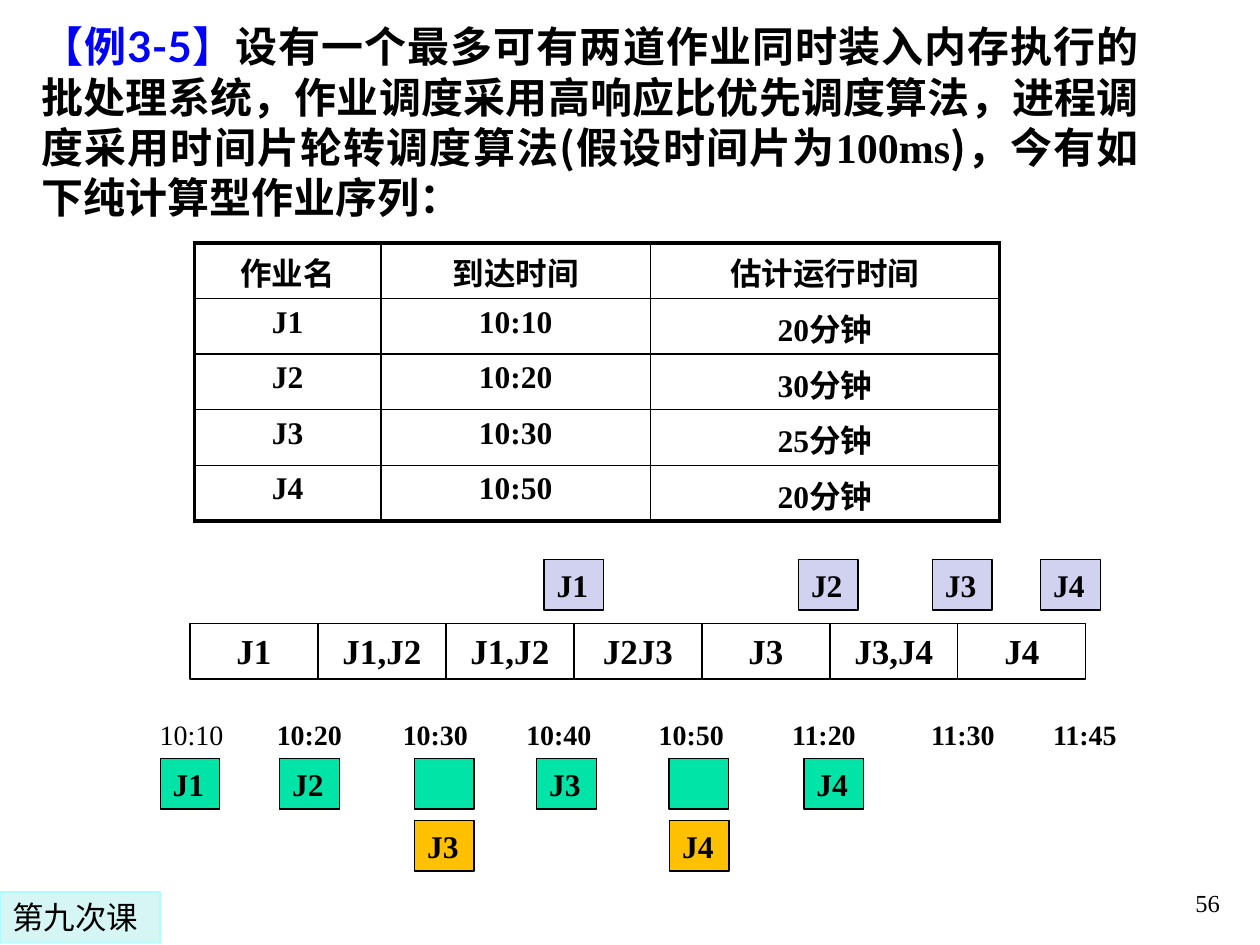
from lxml import etree
from pptx import Presentation
from pptx.dml.color import RGBColor
from pptx.enum.shapes import MSO_SHAPE
from pptx.enum.text import MSO_ANCHOR, MSO_AUTO_SIZE, PP_ALIGN
from pptx.oxml.ns import qn
from pptx.util import Cm, Pt

RECTANGLE = MSO_SHAPE.RECTANGLE
TOP, BOTTOM = MSO_ANCHOR.TOP, MSO_ANCHOR.BOTTOM
NO_AUTOFIT = MSO_AUTO_SIZE.NONE
LEFT, CENTER, RIGHT, JUSTIFY = PP_ALIGN.LEFT, PP_ALIGN.CENTER, PP_ALIGN.RIGHT, PP_ALIGN.JUSTIFY
BLACK = RGBColor(0x00, 0x00, 0x00)
BLUE = RGBColor(0x00, 0x00, 0xFF)
LAVENDER = RGBColor(0xD1, 0xD1, 0xF0)
GREEN = RGBColor(0x00, 0xE4, 0xA8)
AMBER = RGBColor(0xFF, 0xC0, 0x00)
PALE_CYAN = RGBColor(0xD6, 0xF5, 0xF5)
CYAN = RGBColor(0xAD, 0xFF, 0xFF)
SERIF, CHINESE, LATO, SANS = "Times New Roman", "Noto Sans CJK SC", "Lato", "DejaVu Sans"


def format_text(text_frame, size, bold=True, alignment=LEFT, name=SERIF, east_asian=CHINESE, color=BLACK):
    for paragraph in text_frame.paragraphs:
        paragraph.alignment = alignment
        for run in paragraph.runs:
            run.font.size = Pt(size)
            run.font.bold = bold
            run.font.color.rgb = color
            run.font.name = name
            latin = run.font._element.find(qn("a:latin"))
            typeface = etree.Element(qn("a:ea"), typeface=east_asian)
            latin.addnext(typeface)


def add_box(left, top, width, height, text, fill=None, line=BLACK):
    box = slide.shapes.add_shape(RECTANGLE, Cm(left), Cm(top), Cm(width), Cm(height))
    box.shadow.inherit = False
    if fill is None:
        box.fill.background()
    else:
        box.fill.solid()
        box.fill.fore_color.rgb = fill
    box.line.color.rgb = line
    box.line.width = Pt(0.75)
    box.text_frame.word_wrap = False
    box.text_frame.vertical_anchor = TOP
    box.text_frame.text = text
    return box


presentation = Presentation()
presentation.slide_width = Cm(25.4)
presentation.slide_height = Cm(19.05)
slide = presentation.slides.add_slide(presentation.slide_layouts[5])

title = slide.shapes.title
title.left, title.top, title.width, title.height = Cm(0.58), Cm(0.29), Cm(22.63), Cm(4.37)
title.text_frame.vertical_anchor = TOP
title.text_frame.auto_size = NO_AUTOFIT
title_paragraph = title.text_frame.paragraphs[0]
title_paragraph.line_spacing = Pt(28.8)
title_runs = [
    ("【例", CHINESE, BLUE),
    ("3-5", LATO, BLUE),
    ("】", CHINESE, BLUE),
    ("设有一个最多可有两道作业同时装入内存执行的批处理系统，作业调度采用", CHINESE, BLACK),
    ("高响应比优先", LATO, BLACK),
    ("调度算法，进程调度采用时间片轮转调度算法(", CHINESE, BLACK),
    ("假设时间片为", LATO, BLACK),
    ("100ms", SERIF, BLACK),
    (")，今有如下纯计算型作业序列：", CHINESE, BLACK),
]
for text, name, color in title_runs:
    title_paragraph.add_run().text = text
format_text(title.text_frame, 24, alignment=JUSTIFY)
for run, (text, name, color) in zip(title_paragraph.runs, title_runs):
    run.font.name = name
    run.font.color.rgb = color

job_rows = [
    ("作业名", "到达时间", "估计运行时间"),
    ("J1", "10:10", "20分钟"),
    ("J2", "10:20", "30分钟"),
    ("J3", "10:30", "25分钟"),
    ("J4", "10:50", "20分钟"),
]
column_widths = [3.76, 5.43, 7.04]
last_row, last_column = len(job_rows) - 1, len(column_widths) - 1
job_table = slide.shapes.add_table(
    len(job_rows), len(column_widths), Cm(3.92), Cm(4.9), Cm(sum(column_widths)), Cm(5.6)
).table
job_table.first_row = False
job_table.horz_banding = False
for column, width in zip(job_table.columns, column_widths):
    column.width = Cm(width)
for row_index, row in enumerate(job_rows):
    job_table.rows[row_index].height = Cm(1.12)
    for column_index, text in enumerate(row):
        cell = job_table.cell(row_index, column_index)
        cell.margin_bottom = 0
        cell.fill.background()
        cell.text_frame.text = text
        format_text(cell.text_frame, 18, alignment=CENTER)
        outer_edges = {
            "a:lnL": column_index == 0,
            "a:lnR": column_index == last_column,
            "a:lnT": row_index == 0,
            "a:lnB": row_index == last_row,
        }
        properties = cell._tc.get_or_add_tcPr()
        for position, (edge, is_outer) in enumerate(outer_edges.items()):
            border = etree.Element(qn(edge), w=str(Pt(2.25 if is_outer else 1)))
            border_fill = etree.SubElement(border, qn("a:solidFill"))
            etree.SubElement(border_fill, qn("a:srgbClr"), val=str(BLACK))
            properties.insert(position, border)

for index, jobs in enumerate(["J1", "J1,J2", "J1,J2", "J2J3", "J3", "J3,J4", "J4"]):
    segment = add_box(3.83 + index * 2.58, 12.57, 2.58, 1.12, jobs)
    format_text(segment.text_frame, 20, alignment=CENTER)

marker_rows = [
    (11.28, LAVENDER, [(10.97, "J1"), (16.1, "J2"), (18.8, "J3"), (20.98, "J4")]),
    (15.29, GREEN, [(3.23, "J1"), (5.64, "J2"), (8.36, ""), (10.82, "J3"), (13.49, ""), (16.21, "J4")]),
    (16.54, AMBER, [(8.36, "J3"), (13.5, "J4")]),
]
for top, fill, markers in marker_rows:
    for left, job in markers:
        marker = add_box(left, top, 1.2, 1.02, job, fill)
        format_text(marker.text_frame, 18)

time_labels = [
    (2.97, "10:10"), (5.33, "10:20"), (7.87, "10:30"), (10.36, "10:40"),
    (13.03, "10:50"), (15.72, "11:20"), (18.52, "11:30"), (20.98, "11:45"),
]
for left, time in time_labels:
    label = slide.shapes.add_textbox(Cm(left), Cm(14.35), Cm(2.13), Cm(0.94))
    label.text_frame.text = time
    format_text(label.text_frame, 16, bold=time != "10:10")

lesson = add_box(0, 17.98, 3.23, 1.02, "第九次课", PALE_CYAN, CYAN)
format_text(lesson.text_frame, 18, bold=False, name=SANS, east_asian=SANS)

page_number = slide.shapes.add_textbox(Cm(19.56), Cm(17.35), Cm(5.28), Cm(1.27))
page_number.text_frame.word_wrap = True
page_number.text_frame.vertical_anchor = BOTTOM
page_number.text_frame.text = "56"
format_text(page_number.text_frame, 14, bold=False, alignment=RIGHT)

presentation.save("out.pptx")
